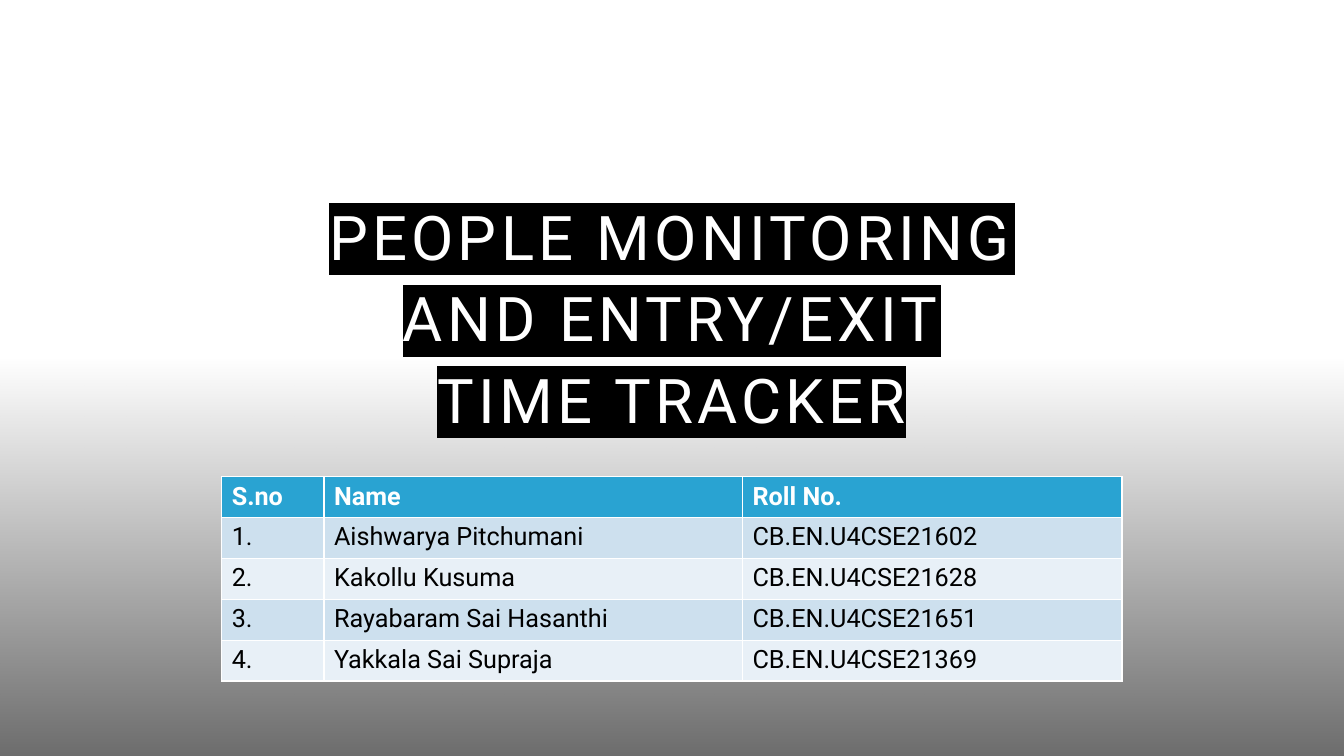
from lxml.etree import SubElement
from pptx import Presentation
from pptx.dml.color import RGBColor
from pptx.enum.shapes import MSO_SHAPE
from pptx.enum.text import MSO_ANCHOR, PP_ALIGN
from pptx.oxml import parse_xml
from pptx.oxml.ns import nsdecls, qn
from pptx.util import Pt

COLORS = {"black": "000000", "white": "FFFFFF", "header": "29A3D2",
          "odd": "CDE0EE", "even": "E8F0F7"}
MEMBERS = [
    ("S.no", "Name", "Roll No."),
    ("1.", "Aishwarya Pitchumani", "CB.EN.U4CSE21602"),
    ("2.", "Kakollu Kusuma", "CB.EN.U4CSE21628"),
    ("3.", "Rayabaram Sai Hasanthi", "CB.EN.U4CSE21651"),
    ("4.", "Yakkala Sai Supraja", "CB.EN.U4CSE21369"),
]


def color(name):
    """Return the named palette colour."""
    return RGBColor.from_string(COLORS[name])


def add_run(p, text, ink, **formats):
    """Add a Roboto run with the given font attributes."""
    r = p.add_run()
    r.text = text
    for key, value in {"name": "Roboto", **formats}.items():
        setattr(r.font, key, value)
    r.font.color.rgb = color(ink)
    return r


def add_shade(s, x, y, w, h):
    """Draw a black band that fades in from top to bottom."""
    sp = s.shapes.add_shape(MSO_SHAPE.RECTANGLE, Pt(x), Pt(y), Pt(w), Pt(h))
    sp.shadow.inherit = False
    sp.line.fill.background()
    sp.fill.gradient()
    sp.fill.gradient_angle = 270
    for stop, position, opacity in zip(sp.fill.gradient_stops, (0, 1), (0, 58)):
        stop.position = position
        stop.color.rgb = color("black")
    for clr, opacity in zip(sp._element.spPr.iter(qn("a:srgbClr")), (0, 58)):
        SubElement(clr, qn("a:alpha"), val=str(opacity * 1000))


def add_title(s, x, y, w, h, text):
    """Write the spaced, highlighted title at the bottom of its box."""
    tf = s.shapes.add_textbox(Pt(x), Pt(y), Pt(w), Pt(h)).text_frame
    tf.word_wrap = True
    tf.vertical_anchor = MSO_ANCHOR.BOTTOM
    p = tf.paragraphs[0]
    p.alignment = PP_ALIGN.CENTER
    p.line_spacing = 1.1
    r = add_run(p, text, "white", size=Pt(44))
    rPr = r.font._element
    rPr.set("spc", "300")
    rPr.find(qn("a:solidFill")).addnext(parse_xml(
        f'<a:highlight {nsdecls("a")}><a:srgbClr val="{COLORS["black"]}"/></a:highlight>'))


def add_members(s, x, y, w, h, rows, widths):
    """Place the member table with a header and alternating rows."""
    table = s.shapes.add_table(len(rows), len(widths),
                               Pt(x), Pt(y), Pt(w), Pt(h)).table
    for column, width in zip(table.columns, widths):
        column.width = Pt(width)
    for i, row in enumerate(rows):
        table.rows[i].height = Pt(h / len(rows))
        shade = "header" if i == 0 else "odd" if i % 2 else "even"
        for j, text in enumerate(row):
            cell = table.cell(i, j)
            cell.fill.solid()
            cell.fill.fore_color.rgb = color(shade)
            add_run(cell.text_frame.paragraphs[0], text,
                    "black" if i else "white", size=Pt(18), bold=i == 0)


def main():
    """Build the title slide and save it."""
    prs = Presentation()
    prs.slide_width, prs.slide_height = Pt(960), Pt(540)
    s = prs.slides.add_slide(prs.slide_layouts[6])
    add_shade(s, 0, 254, 960, 286)
    add_title(s, 226.5, 126, 507, 188.5,
              "PEOPLE MONITORING AND ENTRY/EXIT TIME TRACKER")
    add_members(s, 158.4, 340.5, 643, 146, MEMBERS, (73, 299, 271))
    prs.save("out.pptx")


if __name__ == "__main__":
    main()
